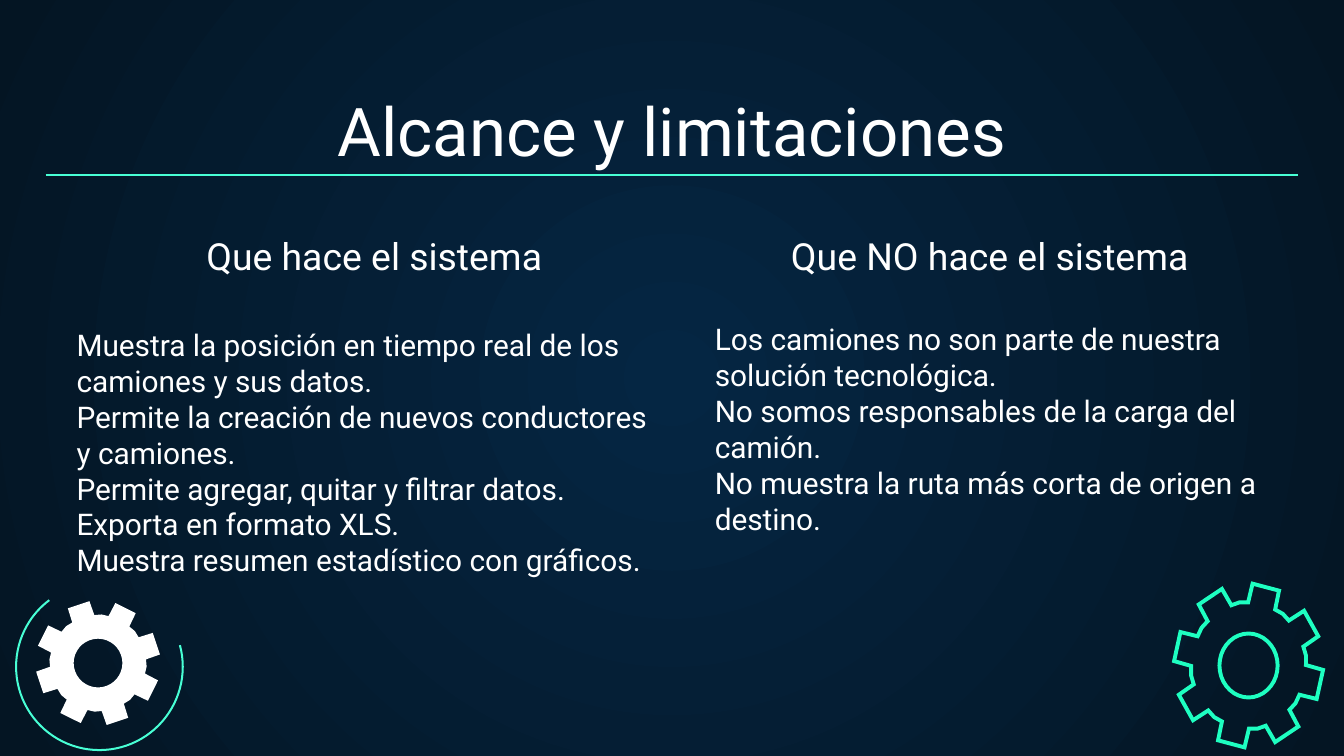
from math import cos, radians, sin

from lxml import etree
from pptx import Presentation
from pptx.dml.color import RGBColor
from pptx.enum.shapes import MSO_CONNECTOR, MSO_SHAPE
from pptx.enum.text import MSO_ANCHOR, MSO_AUTO_SIZE, PP_ALIGN
from pptx.oxml import parse_xml
from pptx.oxml.ns import nsdecls, qn
from pptx.util import Inches, Pt

STRAIGHT, ARC = MSO_CONNECTOR.STRAIGHT, MSO_SHAPE.ARC
TOP, BOTTOM = MSO_ANCHOR.TOP, MSO_ANCHOR.BOTTOM
LEFT, CENTER = PP_ALIGN.LEFT, PP_ALIGN.CENTER
NO_AUTOFIT = MSO_AUTO_SIZE.NONE

color = RGBColor.from_string
WHITE, MINT, GREEN = "FFFFFF", "48FFD5", "1EFFC1"
GLOW, NIGHT = "052643", "041523"

deck = Presentation()
deck.slide_width = Inches(10)
deck.slide_height = deck.slide_width * 9 // 16
COL, ROW = deck.slide_width / 100, deck.slide_height / 100  # one percent each way
slide = deck.slides.add_slide(deck.slide_layouts[5])
shapes = slide.shapes

# Radial background
backdrop = slide.background.fill
backdrop.gradient()
for stop, shade in zip(backdrop.gradient_stops, (GLOW, NIGHT)):
    stop.color.rgb = color(shade)
gradient = slide.element.find(".//" + qn("a:gradFill"))
gradient.replace(gradient.find(qn("a:lin")), parse_xml(
    f'<a:path {nsdecls("a")} path="circle">'
    '<a:fillToRect l="50000" t="50000" r="50000" b="50000"/></a:path>'))


def write(box, place, lines, size, align, anchor, margin_left, margin):
    x, y, w, h = place
    box.left, box.top = int(x * COL), int(y * ROW)
    box.width, box.height = int(w * COL), int(h * ROW)
    frame = box.text_frame
    frame_format = {
        "word_wrap": True, "auto_size": NO_AUTOFIT, "vertical_anchor": anchor,
        "margin_left": Inches(margin_left), "margin_right": Inches(0.1),
        "margin_top": Inches(margin), "margin_bottom": Inches(margin),
    }
    for name, value in frame_format.items():
        setattr(frame, name, value)
    frame.text = "\n".join(lines)
    for paragraph in frame.paragraphs:
        paragraph.alignment = align
        for run in paragraph.runs:
            run.font.name, run.font.size = "Roboto", Pt(size)
            run.font.color.rgb = color(WHITE)


def add_gear(center, radii, turn):
    """Eight-toothed gear with a hole; turn is the angle of its first tooth."""
    def ring_point(degrees, share):
        angle = radians(degrees)
        return (center[0] * COL + radii[0] * COL * share * cos(angle),
                center[1] * ROW + radii[1] * COL * share * sin(angle))

    tooth = [(-14, 0.77), (-10.5, 1), (10.5, 1), (14, 0.77), (22.5, 0.78)]
    rim = [ring_point(turn + 45 * step + offset, share)
           for step in range(8) for offset, share in tooth]
    hole = [ring_point(-degrees, 0.39) for degrees in range(0, 360, 10)]
    outline = shapes.build_freeform(*rim[0])
    outline.add_line_segments(rim[1:], close=True)
    outline.move_to(*hole[0])
    outline.add_line_segments(hole[1:], close=True)
    gear = outline.convert_to_shape()
    gear.shadow.inherit = False
    return gear


write(shapes.title, (3.4, 12.5, 93.2, 11.74), ["Alcance y limitaciones"],
      36, CENTER, BOTTOM, 0.1, 0.1)

does = [
    "Muestra la posición en tiempo real de los",
    "camiones y sus datos.",
    "Permite la creación de nuevos conductores",
    "y camiones.",
    "Permite agregar, quitar y filtrar datos.",
    "Exporta en formato XLS.",
    "Muestra resumen estadístico con gráficos.",
]
does_not = [
    "Los camiones no son parte de nuestra solución tecnológica.",
    "No somos responsables de la carga del camión.",
    "No muestra la ruta más corta de origen a destino.",
]
for place, lines, size, align, margin_left, margin in [
    ((8.3, 29.03, 37.9, 9.79), ["Que hace el sistema"], 20, CENTER, 0.22, 0.1),
    ((3.4, 41.46, 46.6, 48.75), does, 16, LEFT, 0.23, 0.1),
    ((53.9, 29.03, 38.3, 9.79), ["Que NO hace el sistema"], 20, CENTER, 0.22, 0.1),
    ((52.2, 41.6, 46.2, 46.8), does_not, 16, LEFT, 0.1, 0.05),
]:
    write(shapes.add_textbox(0, 0, 0, 0), place, lines, size, align, TOP,
          margin_left, margin)

# Gears in the lower corners
outlined_gear = add_gear((92.9, 88.04), (5.55, 6.1), 13.6)
outlined_gear.fill.background()
outlined_gear.line.color.rgb = color(GREEN)
outlined_gear.line.width = Pt(2.1)
corner = etree.SubElement(outlined_gear.line.fill._xPr, qn("a:miter"))
corner.set("lim", "800000")

solid_gear = add_gear((7.3, 87.72), (4.65, 4.65), -18.4)
solid_gear.fill.solid()
solid_gear.fill.fore_color.rgb = color(WHITE)
solid_gear.line.fill.background()

orbit_radius = 6.2 * COL
orbit = shapes.add_shape(ARC, int(7.4 * COL - orbit_radius),
                         int(88.2 * ROW - orbit_radius),
                         int(2 * orbit_radius), int(2 * orbit_radius))
for index, degrees in enumerate((345, 233)):
    orbit.adjustments[index] = degrees * 0.6  # 60000ths of a degree over 100000
orbit.shadow.inherit = False
orbit.fill.background()
orbit.line.color.rgb = color(MINT)
orbit.line.width = Pt(1.09)

title_rule = shapes.add_connector(STRAIGHT, int(3.4 * COL), int(23.13 * ROW),
                                  int(96.6 * COL), int(23.13 * ROW))
title_rule.line.color.rgb = color(MINT)
title_rule.line.width = Pt(0.75)
etree.SubElement(title_rule.element.spPr, qn("a:effectLst"))

deck.save("out.pptx")
